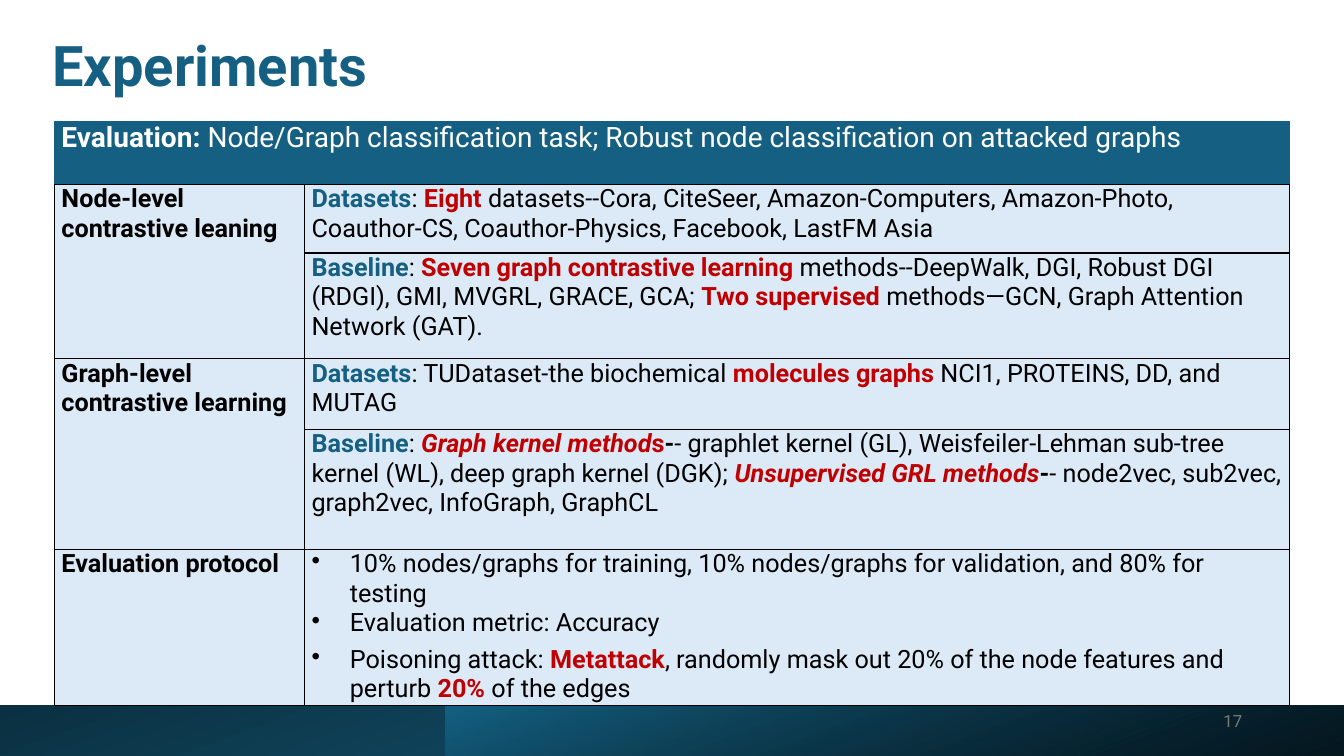
from lxml import etree
from pptx import Presentation
from pptx.dml.color import RGBColor
from pptx.enum.shapes import MSO_SHAPE
from pptx.enum.text import MSO_ANCHOR, PP_ALIGN
from pptx.oxml import parse_xml
from pptx.oxml.ns import nsdecls, qn
from pptx.util import Inches, Pt

COLORS = {
    "blue": "156082", "navy": "0B3041", "black": "000000", "white": "FFFFFF",
    "red": "C00000", "pale": "DCEAF7", "gray": "797979",
}
# style name: (colour, bold, italic)
STYLES = {
    "plain": ("black", False, False), "bold": ("black", True, False),
    "term": ("blue", True, False), "key": ("red", True, False),
    "key italic": ("red", True, True),
    "header": ("white", False, False), "header bold": ("white", True, False),
}


def add_run(paragraph, text, size, color, bold=False, italic=False):
    run = paragraph.add_run()
    run.text = text
    font = run.font
    font.name, font.size, font.bold, font.italic = "Roboto", Pt(size), bold, italic
    font.color.rgb = RGBColor.from_string(COLORS[color])


def set_borders(cell, side_color):
    """Draw 1 pt lines; side_color applies to all but the bottom side."""
    properties = cell._tc.get_or_add_tcPr()
    for index, side in enumerate(("lnL", "lnR", "lnT", "lnB")):
        color = COLORS["black" if side == "lnB" else side_color]
        properties.insert(index, parse_xml(
            f'<a:{side} {nsdecls("a")} w="12700"><a:solidFill>'
            f'<a:srgbClr val="{color}"/></a:solidFill></a:{side}>'))


presentation = Presentation()
presentation.slide_width, presentation.slide_height = Inches(13.33), Inches(7.5)
slide = presentation.slides.add_slide(presentation.slide_layouts[5])

title = slide.shapes.title
title.left, title.top, title.width, title.height = (
    Inches(0.42), Inches(0.3), Inches(6.35), Inches(0.76))
title.text_frame.vertical_anchor = MSO_ANCHOR.MIDDLE
title_paragraph = title.text_frame.paragraphs[0]
title_paragraph.alignment = PP_ALIGN.LEFT
title_paragraph.line_spacing = 0.9
add_run(title_paragraph, "Experiments", 40, "blue", bold=True)

# Footer bands: left, width, rotation, gradient angle, start and end colour, start opacity
BANDS = [
    (0, 13.33, 180, 250, "blue", "navy", 100),
    (4.42, 8.92, 0, 70, "black", "blue", 76),
]
for left, width, rotation, angle, start, end, opacity in BANDS:
    band = slide.shapes.add_shape(
        MSO_SHAPE.RECTANGLE, Inches(left), Inches(7), Inches(width), Inches(0.5))
    band.shadow.inherit = False
    band.rotation = rotation
    band._element.spPr.find(qn("a:xfrm")).set("flipH", "1")
    band.line.fill.background()
    band.fill.gradient()
    band.fill.gradient_angle = angle
    for stop, color in zip(band.fill.gradient_stops, (start, end)):
        stop.color.rgb = RGBColor.from_string(COLORS[color])
    if opacity < 100:
        start_color = next(band._element.spPr.iter(qn("a:srgbClr")))
        etree.SubElement(start_color, qn("a:alpha")).set("val", str(opacity * 1000))

# Each cell is a list of paragraphs, each paragraph a list of (text, style)
ROWS = [
    (0.62, [[("Evaluation: ", "header bold"),
             ("Node/Graph classification task; Robust node classification on attacked graphs",
              "header")]], []),
    (0.68, [[("Node-level contrastive leaning", "bold")]],
     [[("Datasets", "term"), (": ", "plain"), ("Eight", "key"),
       (" datasets--Cora, CiteSeer, Amazon-Computers, Amazon-Photo, Coauthor-CS, "
        "Coauthor-Physics, Facebook, LastFM Asia", "plain")]]),
    (1.05, [],
     [[("Baseline", "term"), (": ", "plain"),
       ("Seven graph contrastive learning ", "key"),
       ("methods--DeepWalk, DGI, Robust DGI (RDGI), GMI, MVGRL, GRACE, GCA; ", "plain"),
       ("Two supervised ", "key"),
       ("methods—GCN, Graph Attention Network (GAT).", "plain")]]),
    (0.7, [[("Graph-level contrastive learning", "bold")]],
     [[("Datasets", "term"), (": TUDataset-the biochemical ", "plain"),
       ("molecules graphs ", "key"), ("NCI1, PROTEINS, DD, and MUTAG", "plain")]]),
    (1.19, [],
     [[("Baseline", "term"), (": ", "plain"), ("Graph kernel method", "key italic"),
       ("s", "key"), ("-", "bold"),
       ("- graphlet kernel (GL), Weisfeiler-Lehman sub-tree kernel (WL), "
        "deep graph kernel (DGK); ", "plain"),
       ("Unsupervised GRL methods", "key italic"), ("-", "bold"),
       ("- node2vec, sub2vec, graph2vec, InfoGraph, GraphCL", "plain")]]),
    (1.55, [[("Evaluation protocol", "bold")]],
     [[("10% nodes/graphs for training, 10% nodes/graphs for validation, "
        "and 80% for testing", "plain")],
      [("Evaluation metric: Accuracy", "plain")],
      [("Poisoning attack: ", "plain"), ("Metattack", "key"),
       (", randomly mask out 20% of the node features and perturb ", "plain"),
       ("20% ", "key"), ("of the edges", "plain")]]),
]

table = slide.shapes.add_table(
    len(ROWS), 2, Inches(0.54), Inches(1.21), Inches(12.25), Inches(5.79)).table
table.first_row = table.horz_banding = False
for column, width in zip(table.columns, (2.48, 9.77)):
    column.width = Inches(width)

for row_index, (height, *contents) in enumerate(ROWS):
    table.rows[row_index].height = Inches(height)
    is_header = row_index == 0
    for column_index, paragraphs in enumerate(contents):
        cell = table.cell(row_index, column_index)
        cell.margin_left = cell.margin_right = Inches(0.07)
        cell.margin_top = cell.margin_bottom = 0
        cell.fill.solid()
        cell.fill.fore_color.rgb = RGBColor.from_string(
            COLORS["blue" if is_header else "pale"])
        set_borders(cell, "blue" if is_header else "black")
        for index, runs in enumerate(paragraphs):
            text_frame = cell.text_frame
            paragraph = text_frame.paragraphs[0] if index == 0 else text_frame.add_paragraph()
            if len(paragraphs) > 1:
                properties = paragraph._p.get_or_add_pPr()
                properties.set("marL", str(Inches(0.38)))
                properties.set("indent", str(-Inches(0.38)))
                bullet = etree.SubElement(properties, qn("a:buChar"))
                bullet.set("char", "•")
                tabs = etree.SubElement(properties, qn("a:tabLst"))
                tab = etree.SubElement(tabs, qn("a:tab"))
                tab.set("pos", str(Inches(0.25)))
                tab.set("algn", "l")
                if index == len(paragraphs) - 1:
                    paragraph.space_before = Pt(5)
            for text, style in runs:
                add_run(paragraph, text, 20 if is_header else 18, *STYLES[style])

table.cell(0, 0).merge(table.cell(0, 1))
for first_row in (1, 3):
    table.cell(first_row, 0).merge(table.cell(first_row + 1, 0))

number_box = slide.shapes.add_textbox(Inches(9.42), Inches(6.95), Inches(3), Inches(0.4))
number_box.text_frame.word_wrap = True
number_box.text_frame.vertical_anchor = MSO_ANCHOR.MIDDLE
number_paragraph = number_box.text_frame.paragraphs[0]
number_paragraph.alignment = PP_ALIGN.RIGHT
add_run(number_paragraph, "17", 12, "gray")

presentation.save("out.pptx")
